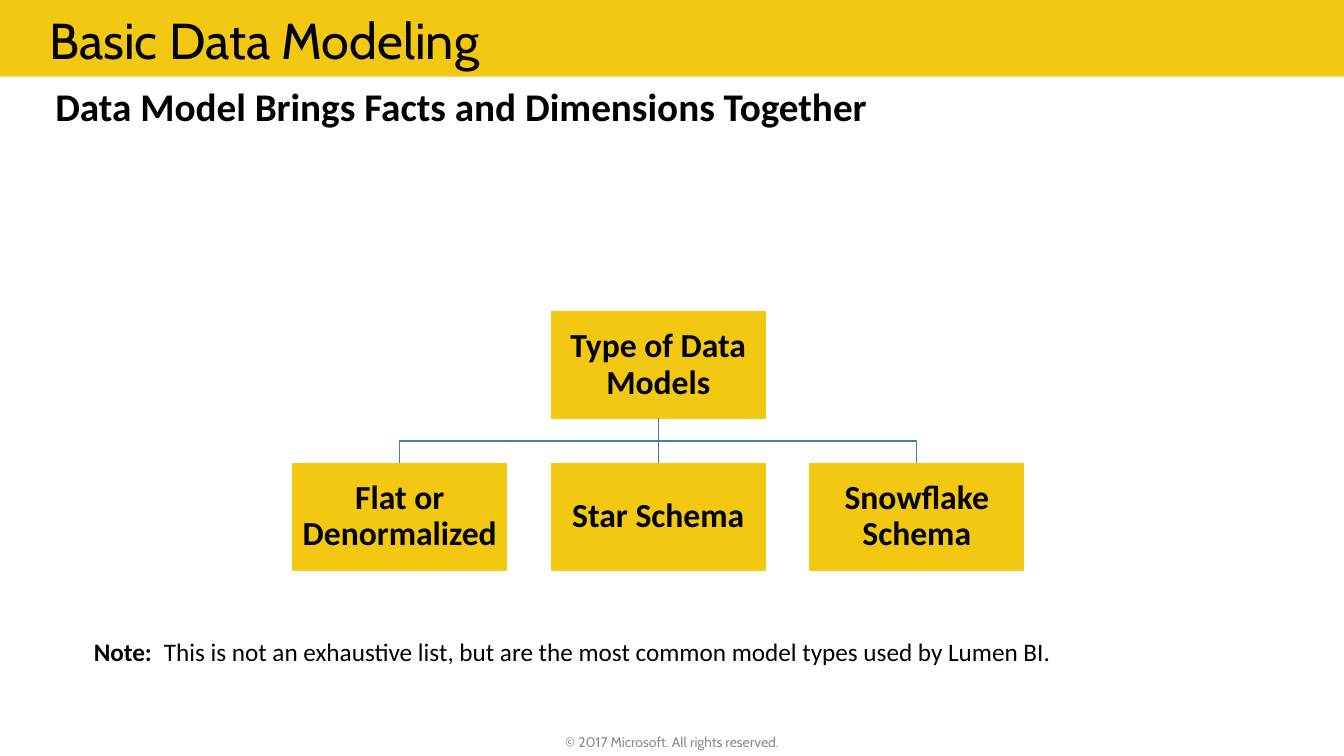
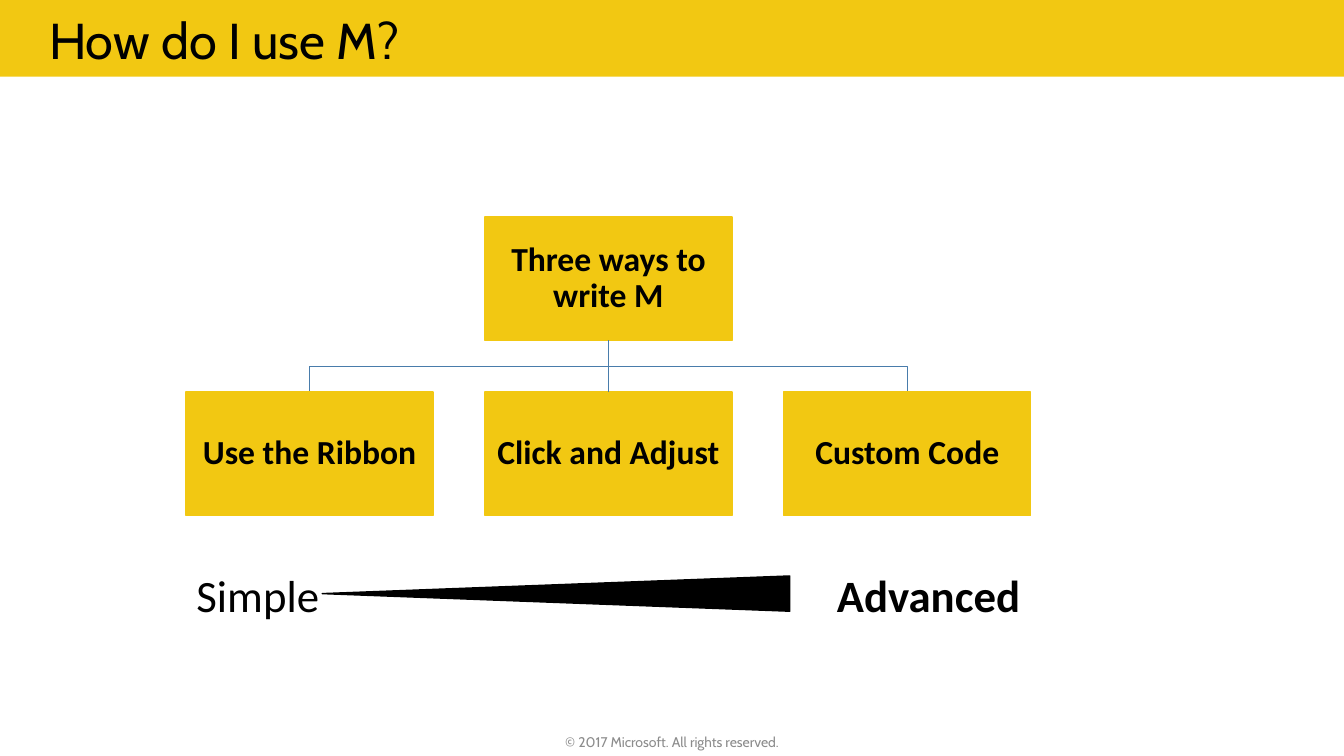
"""Build two slides that each show a three-branch tree under a shared title band."""
from lxml.etree import SubElement
from pptx import Presentation
from pptx.dml.color import RGBColor
from pptx.enum.shapes import MSO_CONNECTOR, MSO_SHAPE
from pptx.enum.text import MSO_ANCHOR, PP_ALIGN
from pptx.oxml.ns import qn
from pptx.util import Pt

WIDTH, HEIGHT = 960, 540
COLOURS = {"yellow": "F2C812", "blue": "497CAB", "black": "000000", "grey": "8C8C8C"}
HEADING_FONT, BODY_FONT = "Cabin", "Calibri"
FOOTER = "© 2017 Microsoft. All rights reserved."

MODELS = {
    "title": "Basic Data Modeling",
    "subtitle": "Data Model Brings Facts and Dimensions Together",
    "root": "Type of Data Models",
    "branches": ["Flat or Denormalized", "Star Schema", "Snowflake Schema"],
    "centre": 470.2, "top": 222.6, "node_width": 152.6,
    "note": ("Note:\t", "This is not an exhaustive list, but are the most common "
                        "model types used by Lumen BI."),
}
WAYS = {
    "title": "How do I use M?",
    "root": "Three ways to write M",
    "branches": ["Use the Ribbon", "Click and Adjust", "Custom Code"],
    "centre": 434.6, "top": 154.9, "node_width": 176.4,
    "scale": ("Simple", "Advanced"),
}


def colour(name):
    return RGBColor.from_string(COLOURS[name])


def write(shape, runs, size, font=BODY_FONT, ink="black", align=PP_ALIGN.LEFT,
          margins=(7.2, 3.6), anchor=MSO_ANCHOR.TOP, line_spacing=None, tab=None):
    """Fill a shape with one paragraph made of (text, bold) runs."""
    frame = shape.text_frame
    frame.word_wrap = True
    frame.vertical_anchor = anchor
    frame.margin_left = frame.margin_right = Pt(margins[0])
    frame.margin_top = frame.margin_bottom = Pt(margins[1])
    para = frame.paragraphs[0]
    if tab:
        stops = SubElement(para._p.get_or_add_pPr(), qn("a:tabLst"))
        SubElement(stops, qn("a:tab"), pos=str(Pt(tab)), algn="l")
    para.alignment = align
    if line_spacing:
        para.line_spacing = line_spacing
    for text, bold in runs:
        span = para.add_run()
        span.text = text
        span.font.size, span.font.name, span.font.bold = Pt(size), font, bold
        span.font.color.rgb = colour(ink)


def add_text(page, place, runs, size, **style):
    box = page.shapes.add_textbox(*map(Pt, place))
    write(box, runs, size, **style)


def add_solid(page, kind, place, fill, outlined=True):
    shape = page.shapes.add_shape(kind, *map(Pt, place))
    shape.shadow.inherit = False
    shape.fill.solid()
    shape.fill.fore_color.rgb = colour(fill)
    if outlined:
        draw_line(shape, fill)
    else:
        shape.line.fill.background()
    return shape


def draw_line(shape, name):
    shape.line.color.rgb = colour(name)
    shape.line.width = Pt(1)


def add_node(page, text, left, top, width):
    node = add_solid(page, MSO_SHAPE.RECTANGLE, (left, top, width, width / 2), "yellow")
    write(node, [(text, True)], 24, align=PP_ALIGN.CENTER, margins=(1.44, 1.44),
          anchor=MSO_ANCHOR.MIDDLE, line_spacing=0.9)
    return node


def add_tree(page, content):
    """Place the root over its branches; every gap is 21% of a node's width."""
    width, centre, top = content["node_width"], content["centre"], content["top"]
    gap = 0.21 * width
    pitch = width + gap
    branch_top = top + width / 2 + gap
    bus = branch_top - gap / 2
    left_end, right_end = centre - pitch, centre + pitch

    builder = page.shapes.build_freeform(Pt(left_end), Pt(branch_top))
    corners = [(left_end, bus), (right_end, bus), (right_end, branch_top)]
    builder.add_line_segments([(Pt(x), Pt(y)) for x, y in corners], close=False)
    bracket = builder.convert_to_shape()
    bracket.shadow.inherit = False
    bracket.fill.background()
    draw_line(bracket, "blue")

    root = add_node(page, content["root"], centre - width / 2, top, width)
    nodes = [add_node(page, text, centre - width / 2 + (index - 1) * pitch, branch_top, width)
             for index, text in enumerate(content["branches"])]
    stem = page.shapes.add_connector(MSO_CONNECTOR.STRAIGHT, 0, 0, 0, 0)
    stem.begin_connect(root, 2)
    stem.end_connect(nodes[1], 0)
    draw_line(stem, "blue")
    SubElement(stem._element.spPr, qn("a:effectLst"))


def add_page(deck, content):
    """Add a blank page with the band, title, footer and tree."""
    page = deck.slides.add_slide(deck.slide_layouts[6])
    add_solid(page, MSO_SHAPE.RECTANGLE, (0, 0, WIDTH, 54.7), "yellow", outlined=False)
    add_text(page, (28, 3, 874, 51.7), [(content["title"], False)], 36, font=HEADING_FONT)
    add_tree(page, content)
    add_text(page, (318, 520.6, 324, 18), [(FOOTER, False)], 10, font=HEADING_FONT,
             ink="grey", align=PP_ALIGN.CENTER)
    return page


def main():
    deck = Presentation()
    deck.slide_width, deck.slide_height = Pt(WIDTH), Pt(HEIGHT)

    page = add_page(deck, MODELS)
    add_text(page, (28, 55.4, 828, 104.4), [(MODELS["subtitle"], True)], 28,
             margins=(11.5, 7.2), line_spacing=0.9)
    label, remark = MODELS["note"]
    add_text(page, (52.6, 447.1, 886, 43), [(label, True), (remark, False)], 18,
             margins=(14.4, 11.5), line_spacing=0.9, tab=50)

    page = add_page(deck, WAYS)
    simple, advanced = WAYS["scale"]
    add_text(page, (133.2, 401.8, 108.7, 46), [(simple, False)], 32)
    add_text(page, (571, 401.8, 164.9, 46), [(advanced, True)], 32, align=PP_ALIGN.RIGHT)
    wedge = add_solid(page, MSO_SHAPE.ISOSCELES_TRIANGLE, (384.5, 257, 25.2, 334), "black")
    wedge.rotation = 270

    deck.save("out.pptx")


if __name__ == "__main__":
    main()
